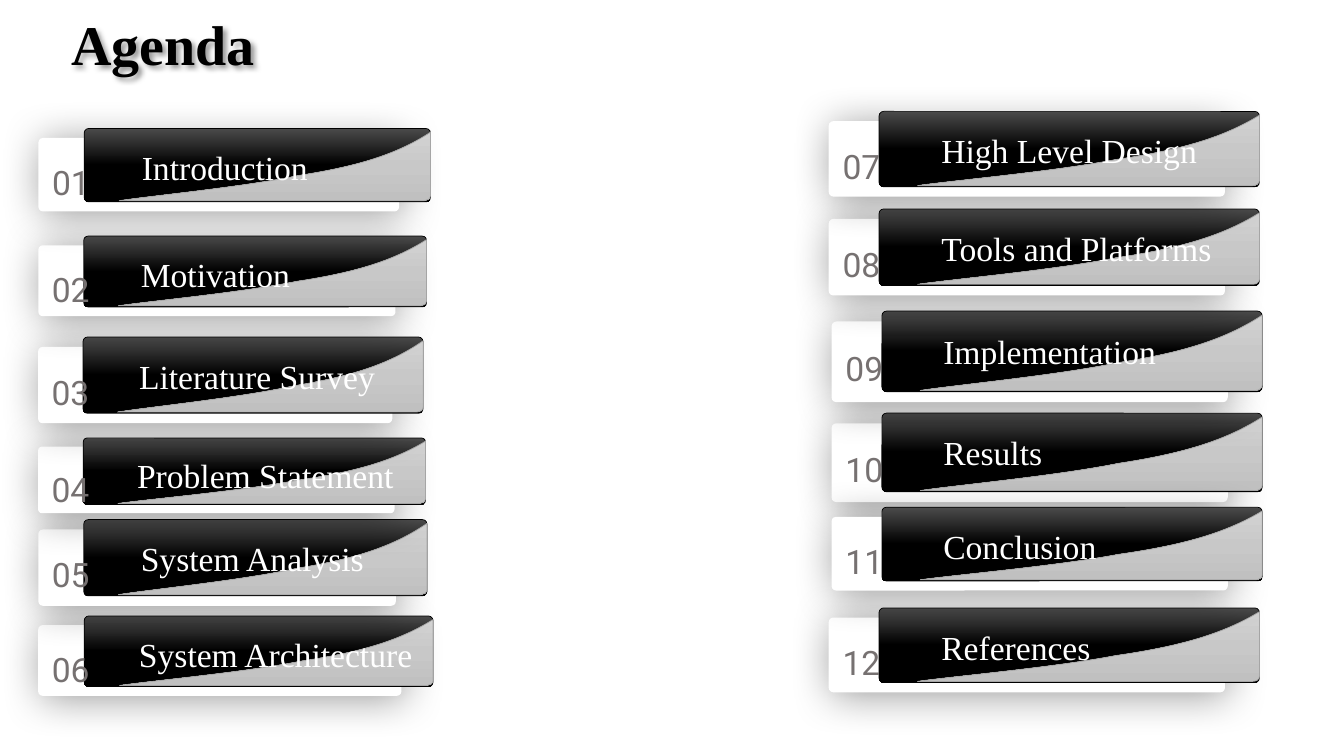
from lxml.etree import SubElement
from pptx import Presentation
from pptx.dml.color import RGBColor
from pptx.enum.shapes import MSO_SHAPE
from pptx.enum.text import MSO_ANCHOR, MSO_AUTO_SIZE, PP_ALIGN
from pptx.oxml.ns import qn
from pptx.util import Pt

TITLE = "Agenda"
AGENDA = [
    ("10", "Results", 594, 302.4, 283, 56.2, 666.7),
    ("09", "Implementation", 594, 229.7, 283, 57.6, 666.7),
    ("08", "Tools and Platforms", 592, 156.4, 283, 54.7, 665.3),
    ("07", "High Level Design", 592, 86.6, 283, 53.8, 665.3),
    ("06", "System Architecture", 27.3, 446.6, 259.4, 50.4, 92.2),
    ("05", "System Analysis", 27.4, 378.2, 255.4, 54.5, 93.5),
    ("04", "Problem Statement", 27.2, 319, 254.6, 47.6, 90.8),
    ("03", "Literature Survey", 27.2, 247.8, 253, 54.5, 92.2),
    ("02", "Motivation", 27.4, 175.2, 255.1, 50.6, 93.5),
    ("01", "Introduction", 27.5, 98.6, 257.6, 52.4, 94.2),
    ("12", "References", 592, 441.2, 283, 53.3, 665.3),
    ("11", "Conclusion", 594, 369.2, 283, 52.6, 666.7),
]
COLORS = {
    "black": "000000", "white": "FFFFFF", "number": "767171", "sheen edge": "A5A5A5",
    "bar": ("4B4B4B", "000000", "000000"), "sheen": ("D2D2D2", "C8C8C8", "C0C0C0"),
}
SHEEN_START = (1, 0)
SHEEN_POINTS = [
    (1, 0.93),
    (1, 0.97), (0.99, 1), (0.98, 1),
    (0, 1),
    (0.1, 0.93), (0.4, 0.8), (0.58, 0.63),
    (0.78, 0.49), (0.9, 0.3), (1, 0),
]
SHEEN_CURVES = (1, 5, 8)


def rgb(name):
    return RGBColor.from_string(COLORS[name])


def set_shadow(shape, blur, distance, opacity):
    shape.shadow.inherit = False
    effects = shape._element.spPr.find(qn("a:effectLst"))
    outer = SubElement(effects, qn("a:outerShdw"), blurRad=str(Pt(blur)),
                       dist=str(Pt(distance)), dir="2700000", algn="tl", rotWithShape="0")
    color = SubElement(outer, qn("a:srgbClr"), val=COLORS["black"])
    SubElement(color, qn("a:alpha"), val=str(opacity * 1000))


def set_gradient(shape, fill_name, edge_name):
    shape.fill.gradient()
    shape.fill.gradient_angle = 270
    stops = shape._element.spPr.find(qn("a:gradFill")).find(qn("a:gsLst"))
    for stop in list(stops):
        stops.remove(stop)
    for position, color in zip((0, 50000, 100000), COLORS[fill_name]):
        stop = SubElement(stops, qn("a:gs"), pos=str(position))
        SubElement(stop, qn("a:srgbClr"), val=color)
    shape.line.color.rgb = rgb(edge_name)
    shape.line.width = Pt(0.5)
    shape.shadow.inherit = False


def add_plate(shapes, left, top, width, height):
    plate = shapes.add_shape(MSO_SHAPE.ROUNDED_RECTANGLE, Pt(left), Pt(top), Pt(width), Pt(height))
    plate.adjustments[0] = 0.06
    return plate


def add_sheen(shapes, left, top, width, height):
    def place(point):
        return Pt(left + point[0] * width), Pt(top + point[1] * height)

    builder = shapes.build_freeform(*place(SHEEN_START))
    builder.add_line_segments([place(point) for point in SHEEN_POINTS], close=True)
    sheen = builder.convert_to_shape()
    outline = next(sheen._element.iter(qn("a:path")))
    lines = outline.findall(qn("a:lnTo"))
    for first in SHEEN_CURVES:
        segment = lines[first:first + 3]
        curve = SubElement(outline, qn("a:cubicBezTo"))
        segment[0].addprevious(curve)
        for line in segment:
            curve.append(line[0])
            outline.remove(line)
    return sheen


def add_text(shapes, text, left, top, width, height, font, size, color):
    box = shapes.add_textbox(Pt(left), Pt(top), Pt(width), Pt(height))
    frame = box.text_frame
    frame.word_wrap = True
    run = frame.paragraphs[0].add_run()
    run.text = text
    run.font.name = font
    run.font.size = Pt(size)
    run.font.color.rgb = rgb(color)
    return box


def add_entry(slide, number, label, left, top, width, height, label_left):
    shapes = slide.shapes.add_group_shape().shapes
    card = add_plate(shapes, left, top, width, height)
    card.fill.solid()
    card.fill.fore_color.rgb = rgb("white")
    card.line.fill.background()
    set_shadow(card, 30, 3, 40)
    bar = add_plate(shapes, left + 0.127 * width, top - 0.13 * height, 0.96 * width, height)
    set_gradient(bar, "bar", "black")
    sheen = add_sheen(shapes, left + 0.224 * width, top - 0.08 * height,
                      0.863 * width, 0.935 * height)
    set_gradient(sheen, "sheen", "sheen edge")
    number_box = add_text(shapes, number, left + 0.01 * width, top + 0.26 * height,
                          0.216 * width, 0.49 * height, "Roboto", 24, "number")
    label_box = add_text(shapes, label, label_left, top + 0.05 * height,
                         0.93 * width, 0.49 * height, "Times New Roman", 24, "white")
    for box in (number_box, label_box):
        box.text_frame.auto_size = MSO_AUTO_SIZE.SHAPE_TO_FIT_TEXT


def main():
    deck = Presentation()
    deck.slide_width, deck.slide_height = Pt(960), Pt(540)
    slide = deck.slides.add_slide(deck.slide_layouts[6])
    heading = add_text(slide.shapes, TITLE, -91.5, 15.8, 416, 43.2,
                       "Times New Roman", 40, "black")
    heading.text_frame.vertical_anchor = MSO_ANCHOR.BOTTOM
    paragraph = heading.text_frame.paragraphs[0]
    paragraph.alignment = PP_ALIGN.CENTER
    paragraph.line_spacing = 0.9
    paragraph.runs[0].font.bold = True
    set_shadow(heading, 4, 3, 40)
    for entry in AGENDA:
        add_entry(slide, *entry)
    deck.save("out.pptx")


if __name__ == "__main__":
    main()
